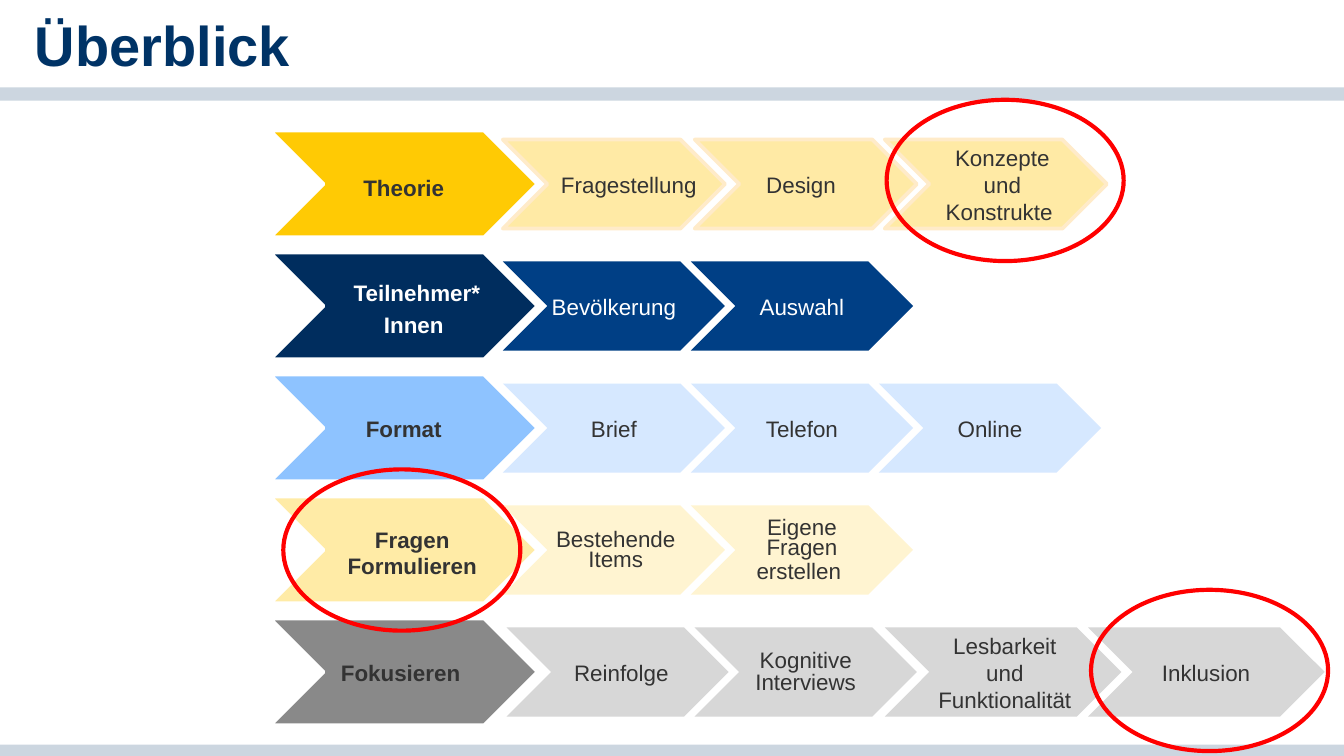
from dataclasses import dataclass

from lxml import etree
from pptx import Presentation
from pptx.dml.color import RGBColor
from pptx.enum.shapes import MSO_SHAPE
from pptx.enum.text import MSO_ANCHOR, PP_ALIGN
from pptx.oxml.ns import qn
from pptx.util import Pt

RECTANGLE, CHEVRON, OVAL = MSO_SHAPE.RECTANGLE, MSO_SHAPE.CHEVRON, MSO_SHAPE.OVAL
TOP, MIDDLE = MSO_ANCHOR.TOP, MSO_ANCHOR.MIDDLE
LEFT, CENTER = PP_ALIGN.LEFT, PP_ALIGN.CENTER

DARK, WHITE, NAVY, BAND, RED = "333333", "FFFFFF", "003366", "CCD6E0", "FF0000"
FIRST_MIDDLE, ROW_STEP = 98.6, 65.35
MAIN_LEFT, MAIN_WIDTH, MAIN_HEIGHT = 144.7, 143.3, 57.2
STEP_LEFT, STEP_PITCH, STEP_WIDTH, STEP_HEIGHT = 269.4, 100.75, 119, 47.7
LABEL_HEIGHT = 21.6


def color(hex_value):
    return RGBColor.from_string(hex_value)


def write_text(frame, text, size=12, bold=False, ink=DARK, align=CENTER,
               spacing=None, before=0):
    for index, line in enumerate(text.split("\n")):
        paragraph = frame.paragraphs[0] if index == 0 else frame.add_paragraph()
        paragraph.alignment = align
        paragraph.space_before = Pt(before)
        if spacing:
            paragraph.line_spacing = Pt(spacing)
        run = paragraph.add_run()
        run.text = line
        run.font.name = "Arial"
        run.font.size = Pt(size)
        run.font.bold = bold
        run.font.color.rgb = color(ink)


@dataclass
class Label:
    text: str
    shift: float = 0
    width: float = 72
    spacing: float = None
    before: float = 1
    inset: float = 1


@dataclass
class Row:
    main: Label
    steps: list
    main_fill: str
    step_fill: str
    ink: str = DARK
    alpha: int = 89
    step_line: str = None
    lefts: tuple = tuple(STEP_LEFT + STEP_PITCH * i for i in range(3))
    widths: tuple = (STEP_WIDTH,) * 3


class SlideBuilder:
    def __init__(self, slide):
        self.slide = slide

    def shape(self, kind, left, top, width, height, fill=None, line=None,
              line_width=2, alpha=100):
        shape = self.slide.shapes.add_shape(kind, Pt(left), Pt(top), Pt(width), Pt(height))
        shape.shadow.inherit = False
        if fill:
            shape.fill.solid()
            shape.fill.fore_color.rgb = color(fill)
            if alpha < 100:
                tone = shape.fill._xPr.find(qn("a:solidFill"))[0]
                etree.SubElement(tone, qn("a:alpha")).set("val", str(alpha * 1000))
        else:
            shape.fill.background()
        if line:
            shape.line.color.rgb = color(line)
            shape.line.width = Pt(line_width)
        else:
            shape.line.fill.background()
        return shape

    def text(self, text, left, top, width, height, anchor=MIDDLE, inset=0, **style):
        frame = self.slide.shapes.add_textbox(Pt(left), Pt(top), Pt(width), Pt(height)).text_frame
        frame.word_wrap = True
        frame.vertical_anchor = anchor
        frame.margin_left = frame.margin_right = frame.margin_bottom = 0
        frame.margin_top = Pt(inset)
        write_text(frame, text, **style)

    def chevron(self, label, left, middle, width, height, ink, bold=False, **style):
        self.shape(CHEVRON, left, middle - height / 2, width, height, **style)
        center = left + width / 2 + label.shift
        self.text(label.text, center - label.width / 2, middle - LABEL_HEIGHT / 2,
                  label.width, LABEL_HEIGHT, inset=label.inset, ink=ink, bold=bold,
                  spacing=label.spacing, before=label.before)

    def row(self, row, middle):
        self.chevron(row.main, MAIN_LEFT, middle, MAIN_WIDTH, MAIN_HEIGHT, row.ink,
                     bold=True, fill=row.main_fill, line=WHITE)
        for label, left, width in zip(row.steps, row.lefts, row.widths):
            self.chevron(label, left, middle, width, STEP_HEIGHT, row.ink,
                         fill=row.step_fill, line=row.step_line, alpha=row.alpha)

    def highlight(self, left, top):
        self.shape(OVAL, left, top, 127, 86.4, line=RED, line_width=2.25)


ROWS = [
    Row(Label("Theorie", spacing=15.1, before=2.9, inset=3),
        [Label("Fragestellung", shift=8, width=78.5), Label("Design", shift=-2.5),
         Label("Konzepte und Konstrukte ", shift=3.5)],
        "FFCA04", "FFE89A", step_line="FFEBC9", lefts=(269.4, 372.2, 474)),
    Row(Label("Teilnehmer*\nInnen ", shift=7, width=84, spacing=14, before=2.8, inset=3),
        [Label("Bevölkerung"), Label("Auswahl")],
        "002D5E", "003F85", ink=WHITE, alpha=100),
    Row(Label("Format"),
        [Label("Brief"), Label("Telefon"), Label("Online")],
        "8EC3FF", "D1E6FF"),
    Row(Label("Fragen Formulieren", shift=4.5, width=74, spacing=14, before=2.8, inset=3),
        [Label("Bestehende Items", shift=1, spacing=10.8, before=2.4, inset=2),
         Label("Eigene Fragen\nerstellen ", spacing=10.8, before=2.4, inset=2)],
        "FFEBA6", "FFF3CC"),
    Row(Label("Fokusieren "),
        [Label("Reinfolge", shift=2), Label("Kognitive Interviews", spacing=11.9, before=1.4),
         Label("Lesbarkeit und Funktionalität", shift=1), Label("Inklusion ", shift=1.5)],
        "898989", "D7D7D7", alpha=100,
        lefts=(271.4, 372.2, 474, 583), widths=(119, 119, 126.7, 126.7)),
]


def main():
    presentation = Presentation()
    presentation.slide_width, presentation.slide_height = Pt(720), Pt(405)
    builder = SlideBuilder(presentation.slides.add_slide(presentation.slide_layouts[6]))

    # Bands and title
    for top in (46.8, 399):
        builder.shape(RECTANGLE, 0, top, 720, 7.2, fill=BAND)
    builder.text("Überblick", 18.7, 5.8, 508.3, 33.8, anchor=TOP, size=30, bold=True,
                 ink=NAVY, align=LEFT)

    # Process rows
    for index, row in enumerate(ROWS):
        builder.row(row, FIRST_MIDDLE + ROW_STEP * index)

    # Highlighted steps
    for left, top in ((475, 53.5), (151.8, 251.5), (584.5, 316)):
        builder.highlight(left, top)

    presentation.save("out.pptx")


if __name__ == "__main__":
    main()
